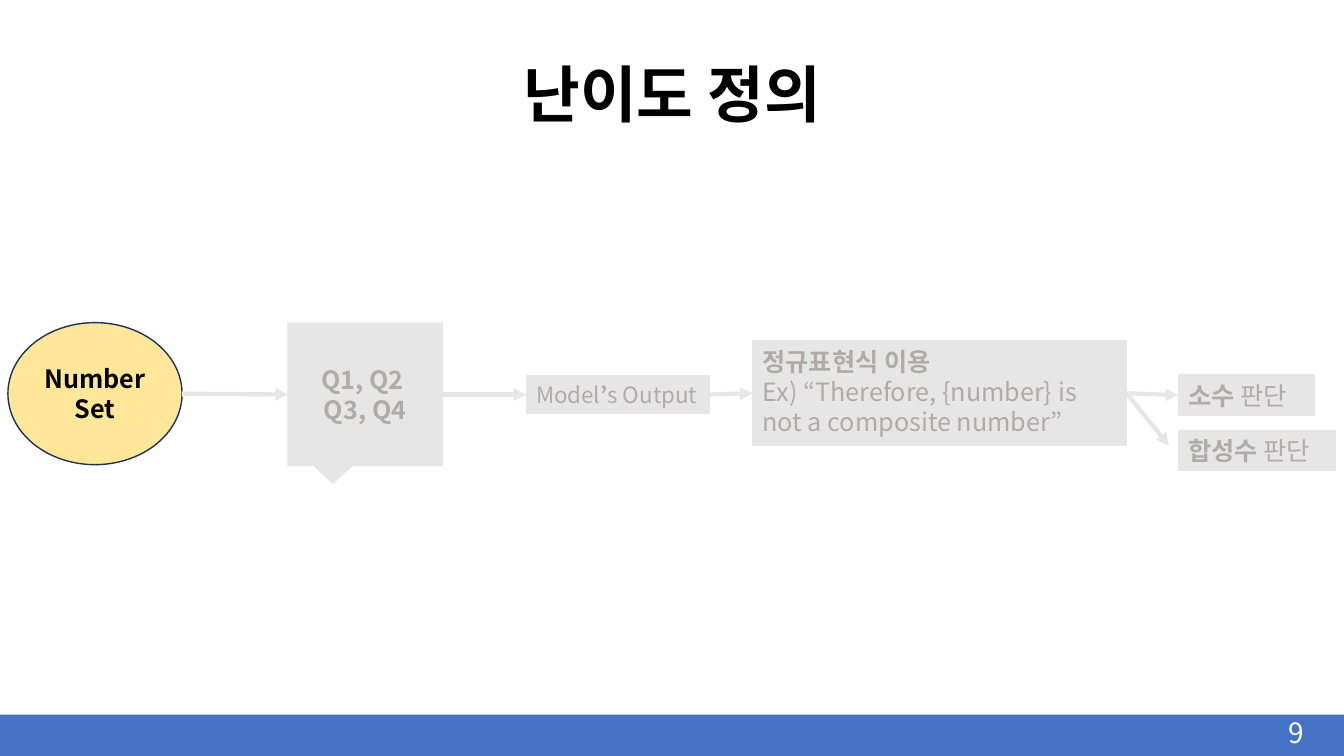
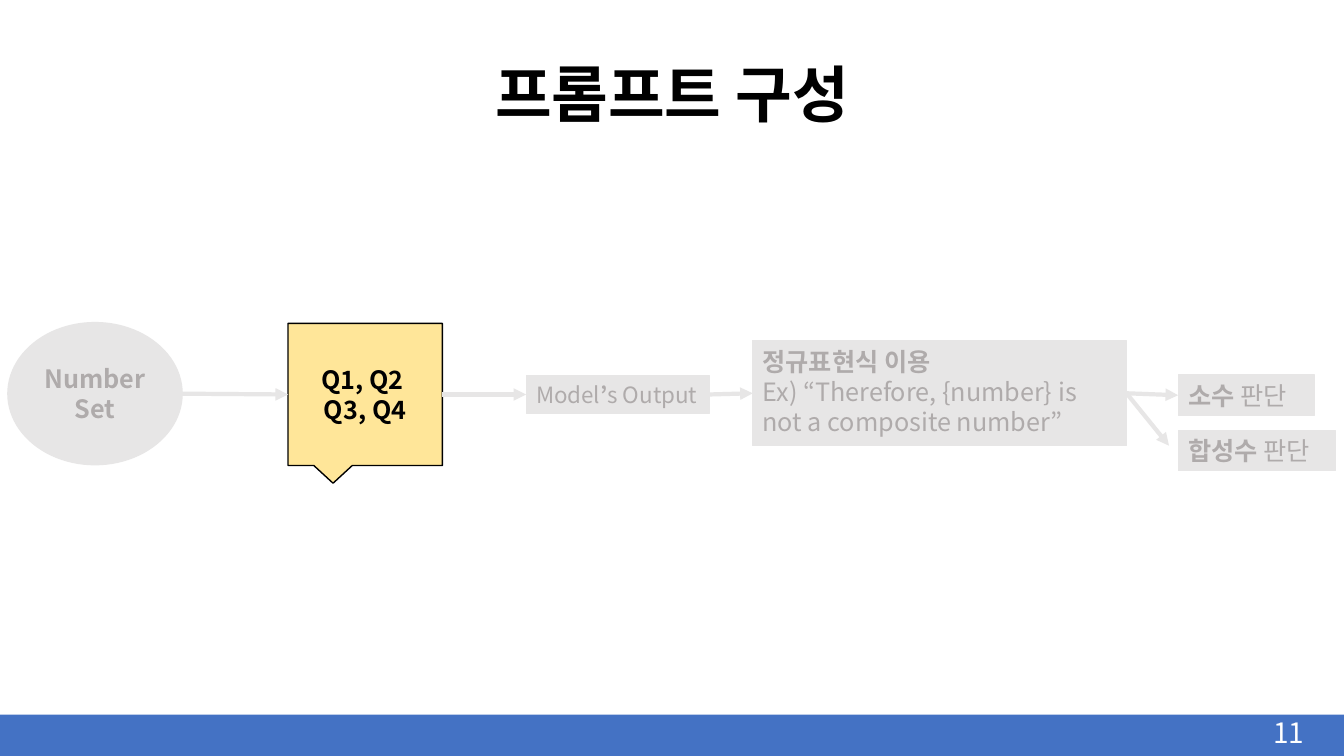
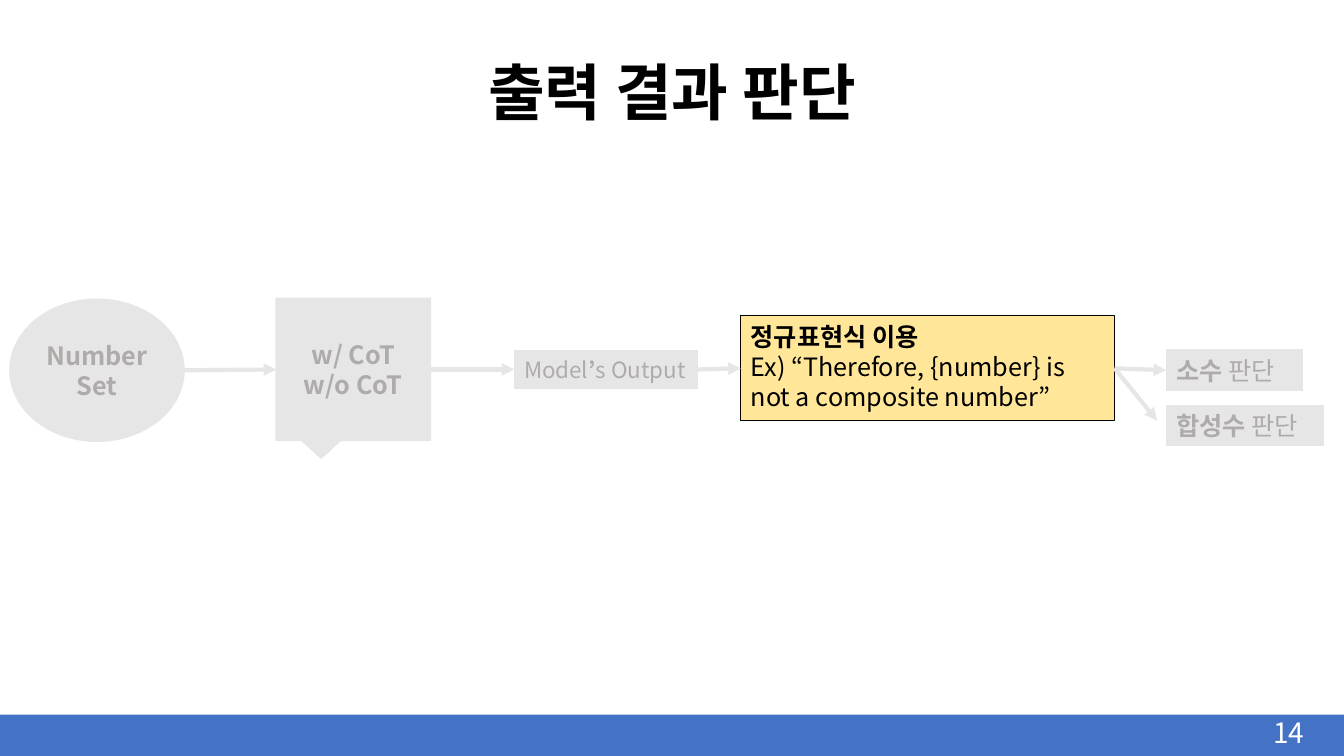
"""Build three slides that walk through one test flow, step by step."""
from pptx import Presentation
from pptx.dml.color import RGBColor
from pptx.enum.shapes import MSO_CONNECTOR as Link, MSO_SHAPE as Kind
from pptx.enum.text import MSO_ANCHOR as Anchor, MSO_AUTO_SIZE as Fit, PP_ALIGN as Align
from pptx.oxml.ns import qn
from pptx.util import Cm, Pt
from lxml.etree import SubElement

FONT = "Noto Sans CJK KR"
WHITE = RGBColor(0xFF, 0xFF, 0xFF)
BLACK = RGBColor(0x00, 0x00, 0x00)
BLUE = RGBColor(0x44, 0x72, 0xC4)
NAVY = RGBColor(0x1E, 0x32, 0x56)
PALE = RGBColor(0xE7, 0xE6, 0xE6)
GREY = RGBColor(0xAF, 0xAB, 0xAB)
GOLD = RGBColor(0xFF, 0xE6, 0x99)
WIDE, HIGH = 33.87, 19.05
BAND = 18.01

QUIZ = [[("Q1, Q2 ", True)], [("Q3, Q4", True)]]
COT = [[("w/ CoT", True)], [("w/o CoT", True)]]
SLIDES = [
    dict(page="9", title="난이도 정의", top=0.79, hot="set", ask=QUIZ,
         shift=(0, 0), start=(0.2, 8.13)),
    dict(page="11", title="프롬프트 구성", top=0.79, hot="ask", ask=QUIZ,
         shift=(0, 0), start=(0.2, 8.13)),
    dict(page="14", title="출력 결과 판단", top=0.74, hot="rule", ask=COT,
         shift=(-0.3, -0.63), start=(0.25, 7.54)),
]


def write(frame, lines, size, color, align, anchor):
    """Fill a text frame with lines of (text, bold) runs."""
    frame.word_wrap = True
    frame.vertical_anchor = anchor
    for i, line in enumerate(lines):
        para = frame.paragraphs[0] if i == 0 else frame.add_paragraph()
        para.alignment = align
        for text, bold in line:
            run = para.add_run()
            run.text = text
            font = run.font
            font.name, font.size, font.bold = FONT, Pt(size), bold
            font.color.rgb = color
            SubElement(font._element, qn("a:ea"), typeface=FONT)


def label(slide, place, text, size, color, bold, align, anchor):
    """Add a one-line text box and return its paragraph."""
    box = slide.shapes.add_textbox(*map(Cm, place))
    write(box.text_frame, [[(text, bold)]], size, color, align, anchor)
    return box.text_frame.paragraphs[0]


def shape(slide, kind, place, fill):
    """Add a flat shape without an outline."""
    item = slide.shapes.add_shape(kind, *map(Cm, place))
    item.shadow.inherit = False
    item.fill.solid()
    item.fill.fore_color.rgb = fill
    item.line.fill.background()
    return item


def step(slide, kind, place, lines, hot, size=18, edge=BLACK):
    """Add one step of the flow, bright if it is the current one."""
    item = shape(slide, kind, place, GOLD if hot else PALE)
    box = kind == Kind.RECTANGLE
    item.line.color.rgb = edge if hot else PALE
    item.line.width = Pt(0.75 if box else 1)
    write(item.text_frame, lines, size, BLACK if hot else GREY,
          Align.LEFT if box else Align.CENTER,
          Anchor.TOP if box else Anchor.MIDDLE)
    if box:
        item.text_frame.auto_size = Fit.SHAPE_TO_FIT_TEXT
    return item


def arrow(slide, head, tail=None, start=(0, 0), end=(0, 0)):
    """Draw an arrow from the right of head to the left of tail, or between points."""
    line = slide.shapes.add_connector(Link.STRAIGHT, *start, *end)
    if head:
        line.begin_connect(head, 3)
    if tail:
        line.end_connect(tail, 1)
    line.line.color.rgb = PALE
    line.line.width = Pt(3)
    SubElement(line.line._get_or_add_ln(), qn("a:tailEnd"), type="triangle")
    SubElement(line._element.spPr, qn("a:effectLst"))


def flow(slide, hot, ask, shift, start):
    """Draw the whole flow with the hot step lit."""
    dx, dy = shift

    def rect(x, y, w, h, lines, lit=False, size=18):
        """Add a shifted box step."""
        return step(slide, Kind.RECTANGLE, (x + dx, y + dy, w, h), lines, lit, size)

    pool = step(slide, Kind.OVAL, (*start, 4.39, 3.58),
                [[("Number", True)], [("Set", True)]], hot == "set", edge=NAVY)
    quiz = step(slide, Kind.RECTANGULAR_CALLOUT, (7.26 + dx, 8.15 + dy, 3.89, 3.58),
                ask, hot == "ask")
    out = rect(13.26, 9.47, 4.62, 0.94,
               [[("Model", False), ("’", True), ("s Output", False)]], size=16)
    out.text_frame.margin_right = 0
    rule = rect(18.97, 8.59, 9.42, 2.64,
                [[("정규표현식 이용", True)],
                 [("Ex) “Therefore, {number} is not a composite number”", False)]],
                hot == "rule")
    prime = rect(29.69, 9.45, 3.43, 1.02, [[("소수", True), (" 판단", False)]])
    rect(29.69, 10.85, 3.96, 1.02, [[("합성수", True), (" 판단", False)]])

    arrow(slide, None, quiz,
          start=(pool.left + pool.width, pool.top + pool.height // 2))
    for head, tail in ((quiz, out), (out, rule), (rule, prime)):
        arrow(slide, head, tail)
    arrow(slide, rule, end=(Cm(29.46 + dx), Cm(11.23 + dy)))


def frame(slide, title, top, page):
    """Add the title, the bottom band and the page number."""
    para = label(slide, (4.24, top, 25.4, 2.64), title, 44, BLACK, True,
                 Align.CENTER, Anchor.BOTTOM)
    para.line_spacing = 0.9
    shape(slide, Kind.RECTANGLE, (0, BAND, WIDE, HIGH - BAND), BLUE)
    label(slide, (31.39, BAND, 1.73, 0.89), page, 20, WHITE, False,
          Align.RIGHT, Anchor.MIDDLE)


def main():
    """Build and save the deck."""
    deck = Presentation()
    deck.slide_width, deck.slide_height = Cm(WIDE), Cm(HIGH)
    for data in SLIDES:
        slide = deck.slides.add_slide(deck.slide_layouts[6])
        flow(slide, data["hot"], data["ask"], data["shift"], data["start"])
        frame(slide, data["title"], data["top"], data["page"])
    deck.save("out.pptx")


if __name__ == "__main__":
    main()
